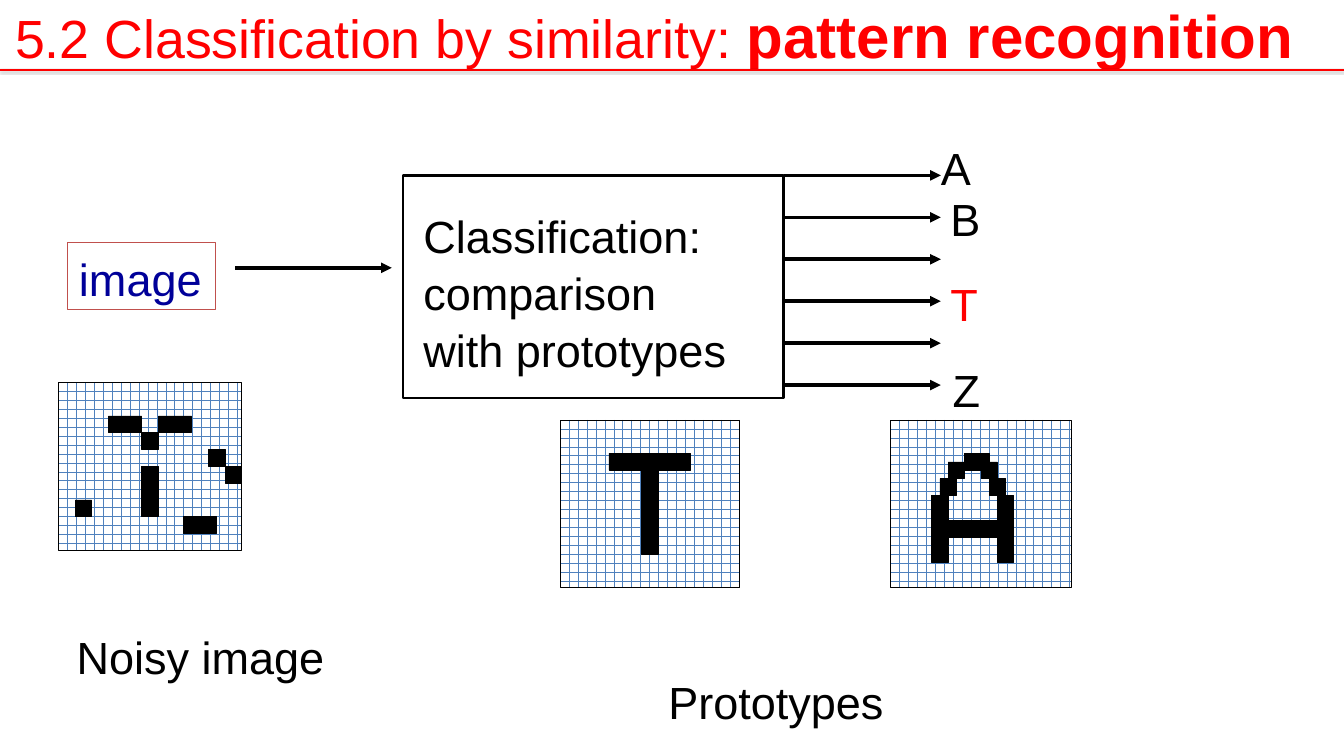
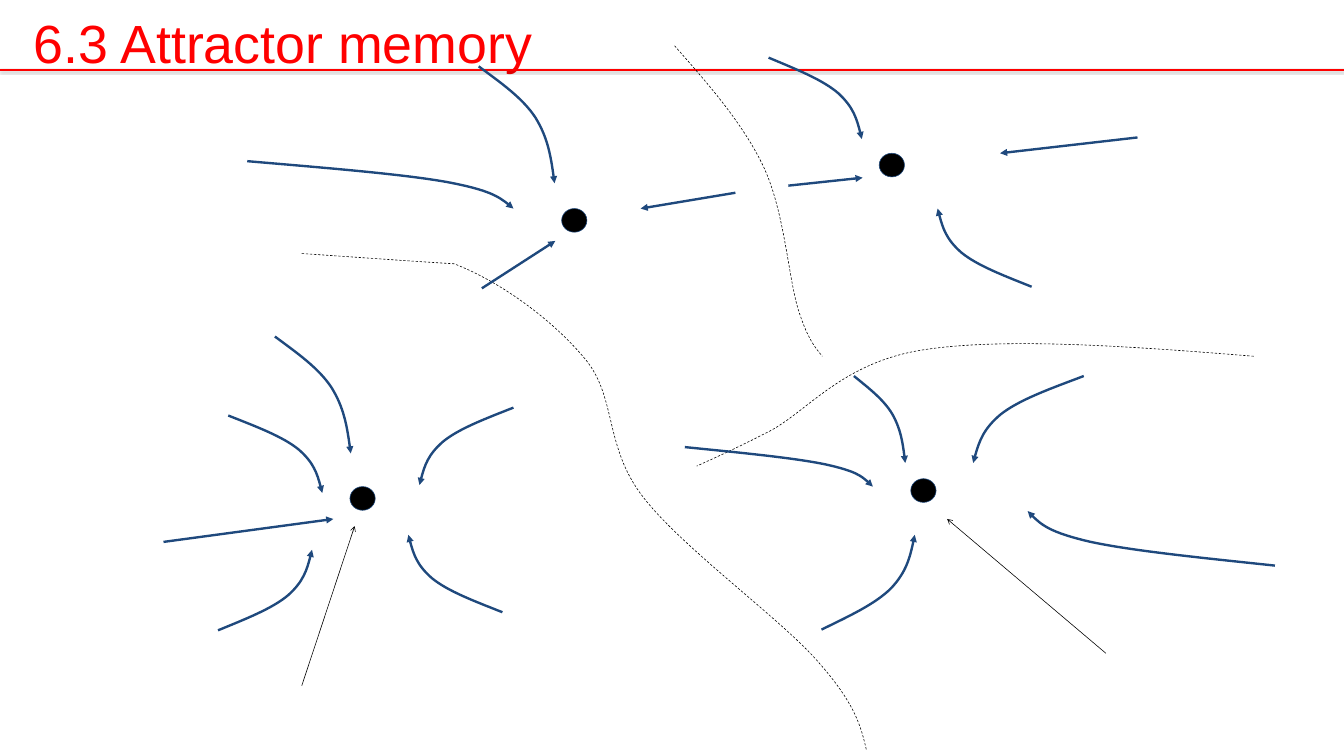
"""Build two lecture slides on pattern recognition and attractor memory."""
from itertools import product

from lxml import etree
from pptx import Presentation
from pptx.dml import color
from pptx.enum import dml, shapes, text
from pptx.oxml import ns
from pptx.util import Pt

WIDTH, HEIGHT = 1701.4, 957
RED, BLACK, WHITE = "FF0000", "000000", "FFFFFF"
NAVY, INK, BRICK, GRID = "1F497D", "000099", "C0504D", "4F81BD"
SWEEP = [(0.29, 0.14), (0.58, 0.27), (0.75, 0.44), (0.91, 0.61), (0.96, 0.8), (1, 1)]


def rgb(value):
    """Turn a hex string into a colour."""
    return color.RGBColor.from_string(value)


def child(parent, tag, **attributes):
    """Append a DrawingML element to its parent."""
    return etree.SubElement(parent, ns.qn("a:" + tag), attributes)


def write(paragraph, content, size=57, ink=BLACK, bold=False):
    """Add one formatted run to a paragraph."""
    run = paragraph.add_run()
    run.text = content
    run.font.name, run.font.size, run.font.bold = "Arial", Pt(size), bold
    run.font.color.rgb = rgb(ink)
    paragraph.alignment = text.PP_ALIGN.LEFT
    paragraph.line_spacing = 1.05


class Deck:
    """Hold the shared style and the slide being drawn."""

    def __init__(self):
        """Start an empty presentation."""
        self.presentation = Presentation()
        self.presentation.slide_width = Pt(WIDTH)
        self.presentation.slide_height = Pt(HEIGHT)
        self.slide = None

    def start(self, left, top, *runs):
        """Open a slide with its title and the red rule."""
        layout = self.presentation.slide_layouts[5]
        self.slide = self.presentation.slides.add_slide(layout)
        title = self.slide.shapes.title
        title.left, title.top = Pt(left), Pt(top)
        title.width, title.height = Pt(WIDTH - left), Pt(100)
        self.frame(title)
        for content, style in runs:
            write(title.text_frame.paragraphs[0], content, ink=RED, **style)
        effects = self.line((0, 89), (WIDTH, 89), RED, 2)
        shadow = child(effects, "outerShdw", blurRad="40000", dist="20000",
                       dir="5400000", rotWithShape="0")
        child(child(shadow, "srgbClr", val=BLACK), "alpha", val="38000")

    def frame(self, shape):
        """Set the common margins and anchor of a text frame."""
        frame = shape.text_frame
        frame.word_wrap = True
        frame.auto_size = text.MSO_AUTO_SIZE.NONE
        frame.vertical_anchor = text.MSO_ANCHOR.TOP
        frame.margin_left = frame.margin_right = Pt(15)
        frame.margin_top = frame.margin_bottom = Pt(8)
        return frame

    def label(self, left, top, width, *lines, ink=BLACK):
        """Place a text box with one paragraph per line."""
        box = self.slide.shapes.add_textbox(
            Pt(left), Pt(top), Pt(width), Pt(16 + 69 * len(lines)))
        frame = self.frame(box)
        for index, content in enumerate(lines):
            paragraph = frame.add_paragraph() if index else frame.paragraphs[0]
            write(paragraph, content, ink=ink)

    def shape(self, left, top, width, height, fill=None, line=BLACK, weight=0.75,
              kind=shapes.MSO_SHAPE.RECTANGLE, parent=None):
        """Draw a preset shape on the slide or in a group."""
        shape = (parent or self.slide).shapes.add_shape(
            kind, Pt(left), Pt(top), Pt(width), Pt(height))
        shape.shadow.inherit = False
        if fill:
            shape.fill.solid()
            shape.fill.fore_color.rgb = rgb(fill)
        else:
            shape.fill.background()
        self.stroke(shape, line, weight)
        return shape

    def stroke(self, shape, ink, weight, head=None, dashed=False):
        """Format an outline, with an optional arrowhead or dash."""
        shape.line.color.rgb = rgb(ink)
        shape.line.width = Pt(weight)
        if dashed:
            shape.line.dash_style = dml.MSO_LINE.DASH
        if head:
            child(shape.element.spPr.find(ns.qn("a:ln")), "tailEnd", type=head)

    def line(self, start, end, ink=BLACK, weight=0.75, head=None):
        """Draw a straight connector and return its effect list."""
        connector = self.slide.shapes.add_connector(
            shapes.MSO_CONNECTOR.STRAIGHT, *map(Pt, start + end))
        self.stroke(connector, ink, weight, head)
        return child(connector.element.spPr, "effectLst")

    def curve(self, points, ink=BLACK, weight=0.75, head=None, dashed=False):
        """Draw an open Bézier path: a start, then three points a segment."""
        start, *rest = [(Pt(x), Pt(y)) for x, y in points]
        builder = self.slide.shapes.build_freeform(*start)
        builder.add_line_segments(rest, close=False)
        shape = builder.convert_to_shape()
        outline = next(shape.element.iter(ns.qn("a:path")))
        steps = outline.findall(ns.qn("a:lnTo"))
        for index in range(0, len(steps), 3):
            bezier = child(outline, "cubicBezTo")
            for step in steps[index:index + 3]:
                bezier.append(step[0])
                outline.remove(step)
        shape.fill.background()
        shape.shadow.inherit = False
        self.stroke(shape, ink, weight, head, dashed)

    def flow(self, start, end):
        """Draw a bent arrow towards an attractor."""
        (x, y), (right, bottom) = start, end
        bend = [(x + (right - x) * u, y + (bottom - y) * v) for u, v in SWEEP]
        self.curve([start] + bend, NAVY, 3, "triangle")

    def bitmap(self, left, top, width, cells):
        """Draw a letter as black cells on a grid of 11 by 10."""
        group = self.slide.shapes.add_group_shape()
        panel = self.shape(left, top, width, 212.6, parent=group)
        panel.fill.patterned()
        panel.fill.pattern = dml.MSO_PATTERN.DOTTED_GRID
        panel.fill.fore_color.rgb = rgb(GRID)
        panel.fill.back_color.rgb = rgb(WHITE)
        across, down = width / 11, 21.26
        for column, row in cells:
            self.shape(left + column * across, top + row * down, across, down,
                       BLACK, parent=group)


def recognition(deck):
    """Draw the classifier with its input, outputs and prototypes."""
    deck.start(4, -14, ("5.2 Classification by similarity: ", {"size": 68}),
               ("pattern recognition", {"size": 76, "bold": True}))
    deck.shape(510, 222, 482, 282, weight=3)
    deck.label(521, 253, 440, "Classification:", "comparison", "with prototypes")
    deck.shape(85, 307, 188, 84, line=BRICK)
    deck.label(85, 307, 190, "image", ink=INK)
    deck.line((298, 339), (496, 339), BLACK, 4.5, "triangle")
    for index in range(6):
        y = 222 + 53.1 * index
        deck.line((992, y), (1191, y), BLACK, 4.5, "triangle")
    for letter, left, top, ink in (("A", 1176, 167, BLACK), ("B", 1188, 231, BLACK),
                                   ("T", 1188, 339, RED), ("Z", 1191, 447, BLACK)):
        deck.label(left, top, 75, letter, ink=ink)
    deck.label(82, 786, 360, "Noisy image")
    deck.label(831, 842, 320, "Prototypes")

    letter_t = [*product(range(3, 8), [2]), *product([5], range(3, 8))]
    letter_a = [*product([2.5, 6.5], [4.5, 5.5, 6.5, 7.5]),
                *product([3.5, 4.5, 5.5], [6]), *product([3, 6], [3.5]),
                *product([3.5, 5.5], [2.5]), *product([4.5, 5], [2])]
    noisy_t = [*product([3, 4, 6, 7], [2]), *product([5], [3, 5, 6, 7]),
               *product([7.5, 8.5], [8]), (1, 7), (9, 4), (10, 5)]
    deck.bitmap(709, 531.5, 227, letter_t)
    deck.bitmap(1127.5, 531.5, 228.5, letter_a)
    deck.bitmap(74, 484, 232, noisy_t)


def attractors(deck):
    """Draw four attractors, their basins and the flow into them."""
    deck.start(28, 0, ("6.3 Attractor memory", {"size": 68}))
    for left, top in ((443, 616), (1153, 606), (711, 264), (1113, 194)):
        deck.shape(left, top, 32, 30, BLACK, NAVY, kind=shapes.MSO_SHAPE.OVAL)

    borders = [
        [(382, 321), (443, 325), (510, 330), (575, 334),
         (635, 357), (702, 407), (742, 456), (781, 505), (765, 566), (814, 629),
         (863, 693), (988, 783), (1035, 837), (1083, 891), (1090, 920), (1097, 950)],
        [(1587, 451), (1428, 438), (1270, 427), (1168, 443), (1066, 459),
         (1022, 521), (974, 546), (927, 570), (904, 580), (882, 590)],
        [(854, 58), (898, 108), (941, 157), (967, 212), (993, 268),
         (998, 350), (1010, 390), (1022, 429), (1032, 440), (1041, 451)],
    ]
    for border in borders:
        deck.curve(border, dashed=True)

    flows = [
        ((348, 426), (444, 574)), ((606, 84), (702, 232)),
        ((973, 73), (1091, 176)), ((650, 516), (531, 614)),
        ((636, 775), (517, 677)), ((289, 526), (408, 624)),
        ((1081, 476), (1146, 586)), ((276, 798), (395, 696)),
        ((1040, 797), (1158, 677)), ((1306, 363), (1187, 264)),
        ((1372, 476), (1232, 586)), ((867, 566), (1105, 616)),
        ((1614, 716), (1301, 647)), ((313, 204), (650, 264)),
    ]
    for start, end in flows:
        deck.flow(start, end)

    straight_flows = [
        ((207, 686), (422, 657)), ((1440, 174), (1266, 194)),
        ((610, 365), (703, 305)), ((931, 244), (811, 264)),
        ((998, 235), (1092, 225)),
    ]
    for start, end in straight_flows:
        deck.line(start, end, NAVY, 3, "triangle")
    for start, end in (((382, 868), (449, 666)), ((1400, 827), (1199, 657))):
        deck.line(start, end, head="arrow")


def main():
    """Build and save the presentation."""
    deck = Deck()
    recognition(deck)
    attractors(deck)
    deck.presentation.save("out.pptx")


if __name__ == "__main__":
    main()
